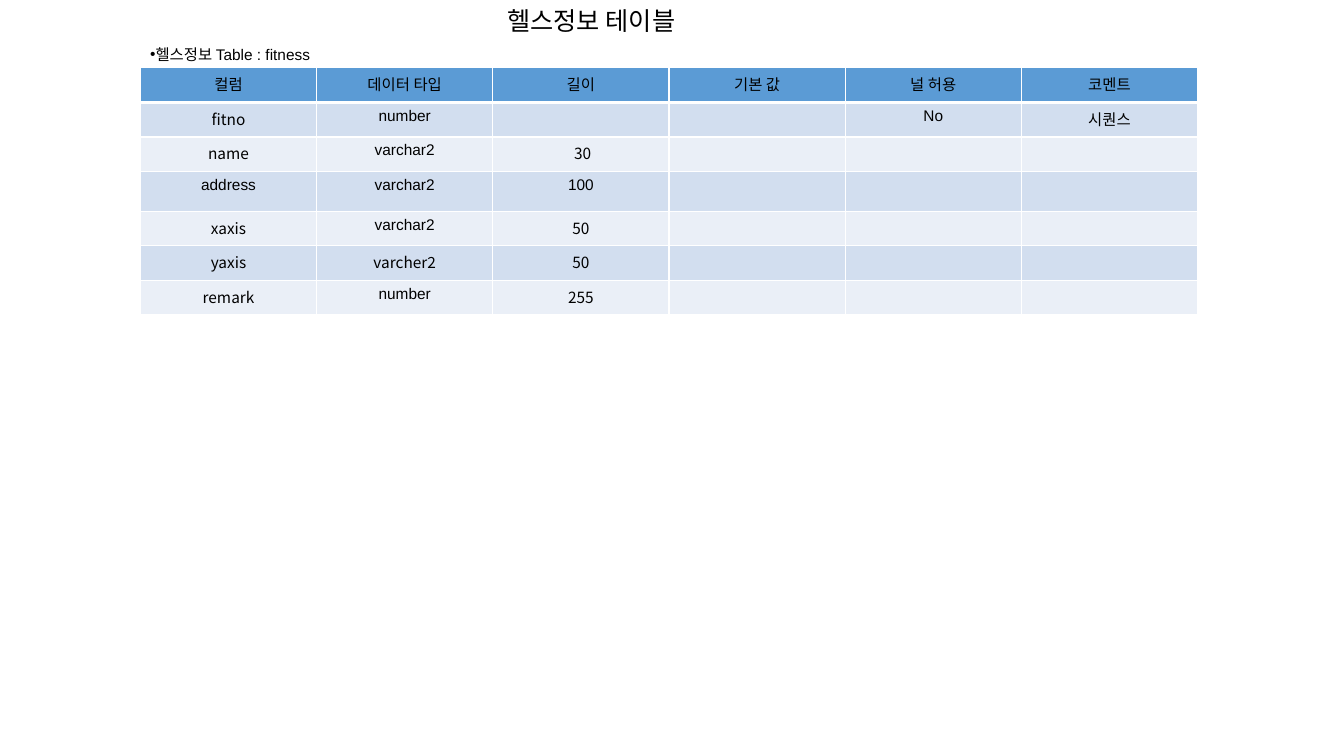
from dataclasses import dataclass

from lxml.etree import SubElement
from pptx import Presentation
from pptx.dml.color import RGBColor as Rgb
from pptx.enum.text import MSO_ANCHOR as Anchor, MSO_AUTO_SIZE as AutoSize, PP_ALIGN as Align
from pptx.oxml.ns import qn
from pptx.util import Cm, Pt


@dataclass(frozen=True)
class Theme:
    ink: str = "000000"
    grid: str = "FFFFFF"
    header: str = "5B9BD5"
    bands: tuple = ("D2DEEF", "EAEFF7")
    latin: str = "Arial"
    korean: str = "Noto Sans CJK KR"
    title_size: int = 18
    text_size: int = 11
    grid_width: int = 1
    header_rule: int = 3


class SchemaSlide:
    def __init__(self, deck, theme):
        self.theme = theme
        self.slide = deck.slides.add_slide(deck.slide_layouts[1])

    def format_text(self, paragraph, size, font):
        for run in paragraph.runs:
            run.font.size = Pt(size)
            run.font.name = font
            run.font.color.rgb = Rgb.from_string(self.theme.ink)
            SubElement(run.font._element, qn("a:ea"), typeface=self.theme.korean)

    def place(self, holder, box, text, size, anchor, align):
        holder.left, holder.top, holder.width, holder.height = map(Cm, box)
        frame = holder.text_frame
        frame.text = text
        frame.word_wrap = True
        frame.auto_size = AutoSize.NONE
        frame.vertical_anchor = anchor
        paragraph = frame.paragraphs[0]
        paragraph.alignment = align
        paragraph.line_spacing = 0.9
        paragraph.space_before = Pt(0)
        self.format_text(paragraph, size, self.theme.latin)
        return paragraph

    def title(self, text, box):
        self.place(self.slide.shapes.title, box, text,
                   self.theme.title_size, Anchor.TOP, Align.CENTER)

    def bullet(self, text, box):
        item = self.place(self.slide.placeholders[1], box, text,
                          self.theme.text_size, Anchor.MIDDLE, Align.LEFT)
        properties = item._p.get_or_add_pPr()
        properties.set("marL", "0")
        properties.set("indent", "0")
        SubElement(properties, qn("a:buFont"), typeface=self.theme.latin)
        SubElement(properties, qn("a:buChar"), char="•")

    def cell(self, cell, text, fill, font, bottom_rule):
        properties = cell._tc.get_or_add_tcPr()
        for side in "LRTB":
            width = bottom_rule if side == "B" else self.theme.grid_width
            line = SubElement(properties, qn(f"a:ln{side}"), w=str(Pt(width)))
            SubElement(SubElement(line, qn("a:solidFill")), qn("a:srgbClr"), val=self.theme.grid)
        cell.fill.solid()
        cell.fill.fore_color.rgb = Rgb.from_string(fill)
        cell.text = text
        paragraph = cell.text_frame.paragraphs[0]
        paragraph.alignment = Align.CENTER
        self.format_text(paragraph, self.theme.text_size, font)
        if not text:
            SubElement(paragraph._p, qn("a:endParaRPr"), sz=str(self.theme.text_size * 100))

    def table(self, rows, korean_cells, left, top, column_width, row_heights):
        theme = self.theme
        columns = len(rows[0])
        grid = self.slide.shapes.add_table(
            len(rows), columns, Cm(left), Cm(top),
            Cm(column_width * columns), Cm(sum(row_heights))).table
        for column in grid.columns:
            column.width = Cm(column_width)
        for r, (values, height) in enumerate(zip(rows, row_heights)):
            grid.rows[r].height = Cm(height)
            fill = theme.bands[(r - 1) % 2] if r else theme.header
            rule = theme.grid_width if r else theme.header_rule
            for c, value in enumerate(values):
                font = theme.korean if (r, c) in korean_cells else theme.latin
                self.cell(grid.cell(r, c), value, fill, font, rule)


deck = Presentation()
deck.slide_width, deck.slide_height = Cm(33.87), Cm(19.05)
fitness = SchemaSlide(deck, Theme())

fitness.bullet("헬스정보\u00a0Table : fitness", (3.53, 0.64, 19.35, 1.5))
fitness.title("헬스정보 테이블", (6.43, 0.1, 16.94, 2.57))

headings = ("컬럼", "데이터 타입", "길이", "기본 값", "널 허용", "코멘트")
fields = (
    ("fitno", "number", "", "", "No", "시퀀스"),
    ("name", "varchar2", "\u00a030", "", "", ""),
    ("address", "varchar2", "100", "", "", ""),
    ("xaxis", "varchar2", "50", "", "", ""),
    ("yaxis", "varcher2", "50", "", "", ""),
    ("remark", "number", "255", "", "", ""),
)
korean_cells = {(r, c) for r in (1, 2, 4, 5, 6) for c in (0, 2)} | {(5, 1)}
row_heights = [1.0 if row[0] == "address" else 0.87 for row in (headings, *fields)]
fitness.table((headings, *fields), korean_cells, 3.54, 1.71, 4.44, row_heights)

deck.save("out.pptx")
